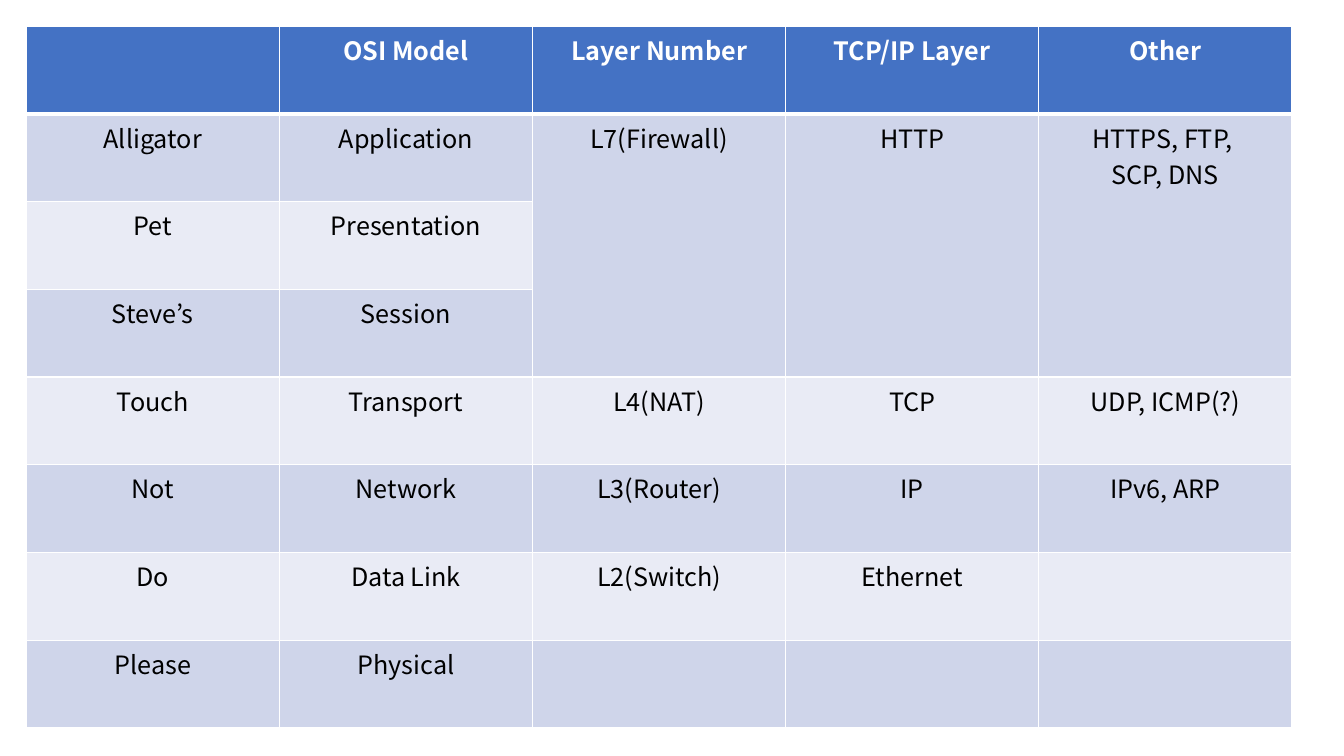
from dataclasses import dataclass

import pptx
import pptx.dml.color
import pptx.enum.text
import pptx.oxml
import pptx.oxml.ns
import pptx.util
from pptx.util import Cm

COLORS = {
    "header": "4472C4",
    "odd": "CFD5EA",
    "even": "E9EBF5",
    "border": "FFFFFF",
    "header_text": "FFFFFF",
    "body_text": "000000",
}
FONT = "Noto Sans CJK KR"
LEFT, TOP = Cm(0.66), Cm(0.66)
COL_WIDTH, ROW_HEIGHT = Cm(6.38), Cm(2.21)
MERGED_ROWS = (1, 3)
MERGED_COLS = (2, 3, 4)


@dataclass
class Layer:
    mnemonic: str
    osi: str
    number: str = ""
    tcp_ip: str = ""
    other: str = ""

    def texts(self) -> list[str]:
        return [self.mnemonic, self.osi, self.number, self.tcp_ip, self.other]


LAYERS = [
    Layer("", "OSI Model", "Layer Number", "TCP/IP Layer", "Other"),
    Layer("Alligator", "Application", "L7(Firewall)", "HTTP", "HTTPS, FTP, \nSCP, DNS"),
    Layer("Pet", "Presentation"),
    Layer("Steve’s", "Session"),
    Layer("Touch", "Transport", "L4(NAT)", "TCP", "UDP, ICMP(?)"),
    Layer("Not", "Network", "L3(Router)", "IP", "IPv6, ARP"),
    Layer("Do", "Data Link", "L2(Switch)", "Ethernet"),
    Layer("Please", "Physical"),
]


def rgb(name: str) -> pptx.dml.color.RGBColor:
    return pptx.dml.color.RGBColor.from_string(COLORS[name])


def set_borders(cell, row: int) -> None:
    """Draw thin cell borders, with a thick rule below the header."""
    widths = {
        "lnL": 1,
        "lnR": 1,
        "lnT": 3 if row == 1 else 1,
        "lnB": 3 if row == 0 else 1,
    }
    tc_pr = cell._tc.get_or_add_tcPr()
    for i, (tag, width) in enumerate(widths.items()):
        tc_pr.insert(i, pptx.oxml.parse_xml(
            f'<a:{tag} {pptx.oxml.ns.nsdecls("a")} w="{pptx.util.Pt(width)}">'
            f'<a:solidFill><a:srgbClr val="{COLORS["border"]}"/></a:solidFill>'
            f'</a:{tag}>'))


def fill_cell(cell, text: str, row: int) -> None:
    """Write and format one cell of the table."""
    is_header = row == 0
    cell.fill.solid()
    cell.fill.fore_color.rgb = rgb("header" if is_header else "odd" if row % 2 else "even")
    set_borders(cell, row)
    cell.text = text
    for p in cell.text_frame.paragraphs:
        p.alignment = pptx.enum.text.PP_ALIGN.CENTER
        p.font.name = FONT
        p.font.size = pptx.util.Pt(18)
        p.font.bold = is_header
        p.font.color.rgb = rgb("header_text" if is_header else "body_text")


def add_layer_table(s, layers: list[Layer]) -> None:
    """Add the table of network layers."""
    n_rows, n_cols = len(layers), len(layers[0].texts())
    table = s.shapes.add_table(n_rows, n_cols, LEFT, TOP,
                               COL_WIDTH * n_cols, ROW_HEIGHT * n_rows).table
    for column in table.columns:
        column.width = COL_WIDTH
    for row, layer in enumerate(layers):
        table.rows[row].height = ROW_HEIGHT
        for col, text in enumerate(layer.texts()):
            fill_cell(table.cell(row, col), text, row)

    # The application protocols cover the top three layers
    first, last = MERGED_ROWS
    for col in MERGED_COLS:
        table.cell(first, col).merge(table.cell(last, col))


def main() -> None:
    prs = pptx.Presentation()
    prs.slide_width, prs.slide_height = Cm(33.87), Cm(19.05)
    s = prs.slides.add_slide(prs.slide_layouts[6])
    add_layer_table(s, LAYERS)
    prs.save("out.pptx")


if __name__ == "__main__":
    main()
